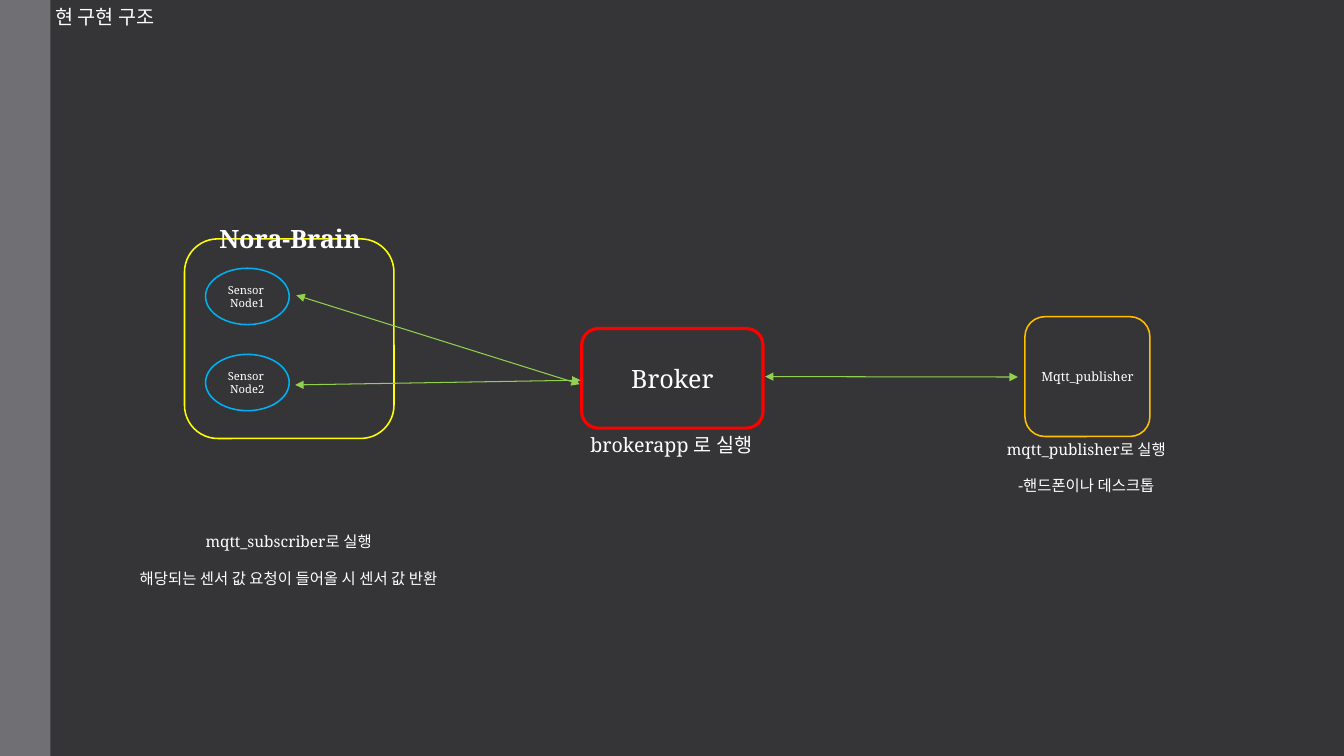
from lxml import etree
from pptx import Presentation
from pptx.dml.color import RGBColor
from pptx.enum.shapes import MSO_CONNECTOR as Connector, MSO_SHAPE as Shape
from pptx.enum.text import MSO_ANCHOR as Anchor, MSO_AUTO_SIZE as AutoSize, PP_ALIGN as Align
from pptx.oxml.ns import qn
from pptx.util import Cm, Pt

FONT = "Noto Serif"
COLORS = {
    "background": "353537", "sidebar": "6F6F74", "text": "FFFFFF",
    "broker": "FF0000", "publisher": "FFC000", "brain": "FFFF00",
    "node": "00B0F0", "link": "92D050",
}


def color(name):
    """Return the named colour."""
    return RGBColor.from_string(COLORS[name])


def write(shape, text, size=14, bold=False, align=Align.CENTER, anchor=Anchor.TOP,
          wrap=True, gap=0):
    """Write text into a shape, one paragraph a line, with a gap between them."""
    frame = shape.text_frame
    frame.auto_size = AutoSize.NONE
    frame.word_wrap = wrap
    frame.vertical_anchor = anchor
    frame.margin_left = frame.margin_right = Cm(0.25)
    frame.margin_top = frame.margin_bottom = Cm(0.13)
    frame.text = text
    for index, paragraph in enumerate(frame.paragraphs):
        paragraph.alignment = align
        paragraph.space_before = Pt(gap if index else 0)
        font = paragraph.runs[0].font
        font.name, font.size, font.bold = FONT, Pt(size), bold
        font.color.rgb = color("text")


def add_label(shapes, box, text, **style):
    """Add a text box."""
    write(shapes.add_textbox(*map(Cm, box)), text, **style)


def add_outline(shapes, kind, box, line, width=1.1, text="", **style):
    """Add an unfilled shape, with centred text if any is given."""
    shape = shapes.add_shape(kind, *map(Cm, box))
    shape.shadow.inherit = False
    shape.fill.background()
    shape.line.color.rgb = color(line)
    shape.line.width = Pt(width)
    if text:
        write(shape, text, anchor=Anchor.MIDDLE, **style)


def add_link(slide, start, end):
    """Join two points with a line that has an arrowhead at both ends."""
    link = slide.shapes.add_connector(Connector.STRAIGHT, *map(Cm, start + end))
    link.line.color.rgb = color("link")
    link.line.width = Pt(0.75)
    line = link.line._get_or_add_ln()
    for end_name in ("a:headEnd", "a:tailEnd"):
        etree.SubElement(line, qn(end_name), type="triangle")
    etree.SubElement(link._element.spPr, qn("a:effectLst"))


def add_frame(slide, box):
    """Set the background, the sidebar and the title within the slide box."""
    left, top, _, height = box
    slide.background.fill.solid()
    slide.background.fill.fore_color.rgb = color("background")
    sidebar = slide.shapes.add_shape(Shape.RECTANGLE, Cm(left), Cm(top), Cm(1.27), Cm(height))
    sidebar.shadow.inherit = False
    sidebar.fill.solid()
    sidebar.fill.fore_color.rgb = color("sidebar")
    sidebar.line.fill.background()
    title = slide.shapes.title
    title.left, title.top, title.width, title.height = map(
        Cm, (left + 1.14, top, 7.62, 0.86))
    write(title, "현 구현 구조", align=Align.LEFT)


def add_brain(slide, box):
    """Add the brain with its two sensor nodes, and the caption below it."""
    left, top, width, height = box
    shapes = slide.shapes.add_group_shape().shapes
    add_outline(shapes, Shape.ROUNDED_RECTANGLE, box, "brain")
    add_label(shapes, (left - 0.25, top - 0.51, width + 0.54, 1.02), "Nora-Brain",
              size=18, bold=True)
    for index in range(2):
        node_box = (left + 0.53, top + 0.74 + 2.17 * index, 2.11, 1.42)
        add_outline(shapes, Shape.OVAL, node_box, "node",
                    text=f"Sensor\u00a0\nNode{index + 1}", size=8, wrap=False)
    add_label(slide.shapes, (left - 2.62, top + height + 2.23, 10.49, 1.68),
              "mqtt_subscriber로 실행\n해당되는 센서 값 요청이 들어올 시 센서 값 반환",
              size=11, gap=13)


def add_broker(slide, box):
    """Add the broker and the caption below it."""
    left, top, _, height = box
    add_outline(slide.shapes, Shape.ROUNDED_RECTANGLE, box, "broker", width=2.25,
                text="Broker", size=18)
    add_label(slide.shapes, (left - 1.55, top + height - 0.02, 7.62, 0.86),
              "brokerapp 로 실행")


def add_publisher(slide, box):
    """Add the publisher and the caption below it."""
    left, top, _, height = box
    add_outline(slide.shapes, Shape.ROUNDED_RECTANGLE, box, "publisher",
                text="Mqtt_publisher", size=9, wrap=False)
    add_label(slide.shapes, (left - 2.26, top + height - 0.05, 7.62, 1.68),
              "mqtt_publisher로 실행\n-핸드폰이나 데스크톱", size=11, gap=13)


def main():
    """Build the slide and save it."""
    presentation = Presentation()
    presentation.slide_width, presentation.slide_height = Cm(33.87), Cm(19.05)
    slide = presentation.slides.add_slide(presentation.slide_layouts[5])
    add_frame(slide, (0, 0, 33.87, 19.05))
    add_brain(slide, (4.65, 6.02, 5.28, 5.03))
    add_broker(slide, (14.66, 8.28, 4.57, 2.51))
    add_publisher(slide, (25.83, 7.98, 3.15, 3.02))
    links = [
        ((19.28, 9.49), (25.65, 9.5)),
        ((7.47, 7.44), (14.61, 9.68)),
        ((7.44, 9.7), (14.63, 9.58)),
    ]
    for start, end in links:
        add_link(slide, start, end)
    presentation.save("out.pptx")


main()
